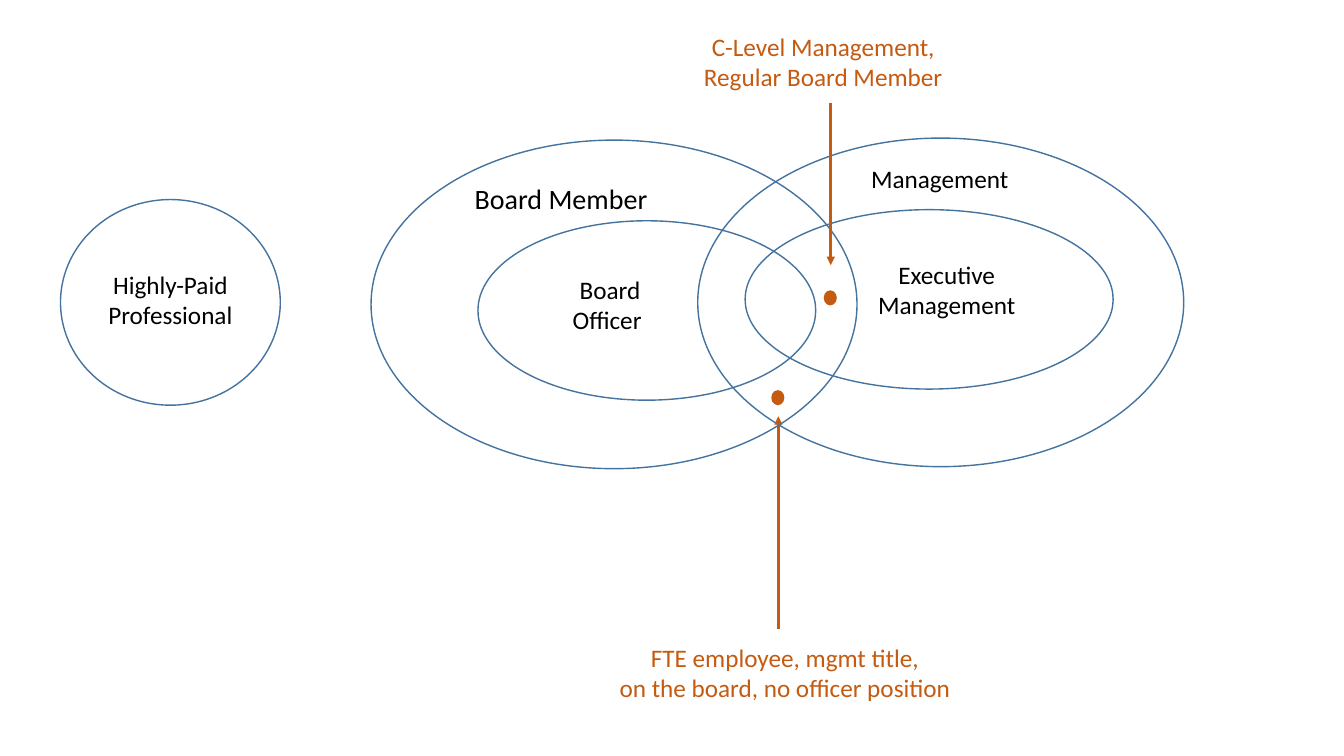
"""Build a slide with overlapping board and management roles."""
from dataclasses import dataclass

from lxml import etree
from pptx import Presentation
from pptx.dml.color import RGBColor
from pptx.enum.shapes import MSO_CONNECTOR, MSO_SHAPE
from pptx.enum.text import MSO_AUTO_SIZE, PP_ALIGN
from pptx.oxml.ns import qn
from pptx.util import Inches, Pt

OVAL = MSO_SHAPE.OVAL
STRAIGHT = MSO_CONNECTOR.STRAIGHT
CENTER = PP_ALIGN.CENTER
FIT_SHAPE = MSO_AUTO_SIZE.SHAPE_TO_FIT_TEXT


@dataclass(frozen=True)
class Theme:
    """Colours, font and sizes of the slide."""
    outline: RGBColor = RGBColor(0x43, 0x73, 0x9E)
    accent: RGBColor = RGBColor(0xC5, 0x5A, 0x11)
    text: RGBColor = RGBColor(0, 0, 0)
    font: str = "Calibri"
    body: Pt = Pt(18)
    large: Pt = Pt(20)
    outline_width: Pt = Pt(1)
    arrow_width: Pt = Pt(2)


THEME = Theme()


def add_oval(slide, left, top, width, height):
    """Add an ellipse without shadow."""
    shape = slide.shapes.add_shape(
        OVAL, Inches(left), Inches(top), Inches(width), Inches(height))
    shape.shadow.inherit = False
    return shape


def add_group_ring(slide, left, top, width, height):
    """Add an outlined ellipse for a group of people."""
    shape = add_oval(slide, left, top, width, height)
    shape.fill.background()
    shape.line.color.rgb = THEME.outline
    shape.line.width = THEME.outline_width


def add_dot(slide, left, top):
    """Add a small filled dot that marks one person."""
    shape = add_oval(slide, left, top, 0.13, 0.15)
    shape.fill.solid()
    shape.fill.fore_color.rgb = THEME.accent
    shape.line.fill.background()


def add_label(slide, text, left, top, width, height,
              color=THEME.text, size=THEME.body, wrap=False):
    """Add centred text."""
    shape = slide.shapes.add_textbox(
        Inches(left), Inches(top), Inches(width), Inches(height))
    text_frame = shape.text_frame
    text_frame.word_wrap = wrap
    text_frame.auto_size = FIT_SHAPE
    text_frame.text = text
    for paragraph in text_frame.paragraphs:
        paragraph.alignment = CENTER
        for run in paragraph.runs:
            run.font.name = THEME.font
            run.font.size = size
            run.font.color.rgb = color


def add_arrow(slide, x, start, end):
    """Add a vertical arrow that points to its end."""
    connector = slide.shapes.add_connector(
        STRAIGHT, Inches(x), Inches(start), Inches(x), Inches(end))
    connector.line.color.rgb = THEME.accent
    connector.line.width = THEME.arrow_width
    line = connector.line._get_or_add_ln()
    etree.SubElement(line, qn("a:tailEnd"), type="triangle")
    etree.SubElement(connector._element.spPr, qn("a:effectLst"))


def main():
    """Build and save the slide."""
    presentation = Presentation()
    presentation.slide_width = Inches(13.33)
    presentation.slide_height = Inches(7.5)
    slide = presentation.slides.add_slide(presentation.slide_layouts[6])

    add_group_ring(slide, 7.39, 2.08, 3.65, 1.78)
    add_label(slide, "Executive\vManagement", 8.11, 2.52, 2.56, 0.71, wrap=True)
    add_label(slide, "Management", 8.16, 1.57, 2.32, 0.4, wrap=True)
    add_group_ring(slide, 0.6, 1.98, 2.18, 2.04)
    add_label(slide, "Highly-Paid\vProfessional", 0.53, 2.62, 2.32, 0.71, wrap=True)
    add_group_ring(slide, 4.74, 2.19, 3.35, 1.78)
    add_label(slide, "Board\vOfficer ", 5.57, 2.67, 0.96, 0.71)
    add_label(slide, "Board Member", 4.6, 1.75, 1.93, 0.44, size=THEME.large)
    add_label(slide, "FTE employee, mgmt title,\von the board, no officer position",
              6.04, 6.32, 3.49, 0.71, color=THEME.accent)
    add_dot(slide, 7.65, 3.87)
    add_group_ring(slide, 6.92, 1.37, 4.82, 3.26)
    add_arrow(slide, 7.72, 6.24, 4.13)
    add_group_ring(slide, 3.68, 1.39, 4.82, 3.26)
    add_label(slide, "C-Level Management,\nRegular Board Member",
              6.88, 0.26, 2.57, 0.71, color=THEME.accent)
    add_dot(slide, 8.17, 2.88)
    add_arrow(slide, 8.24, 1.02, 2.63)

    presentation.save("out.pptx")


if __name__ == "__main__":
    main()
